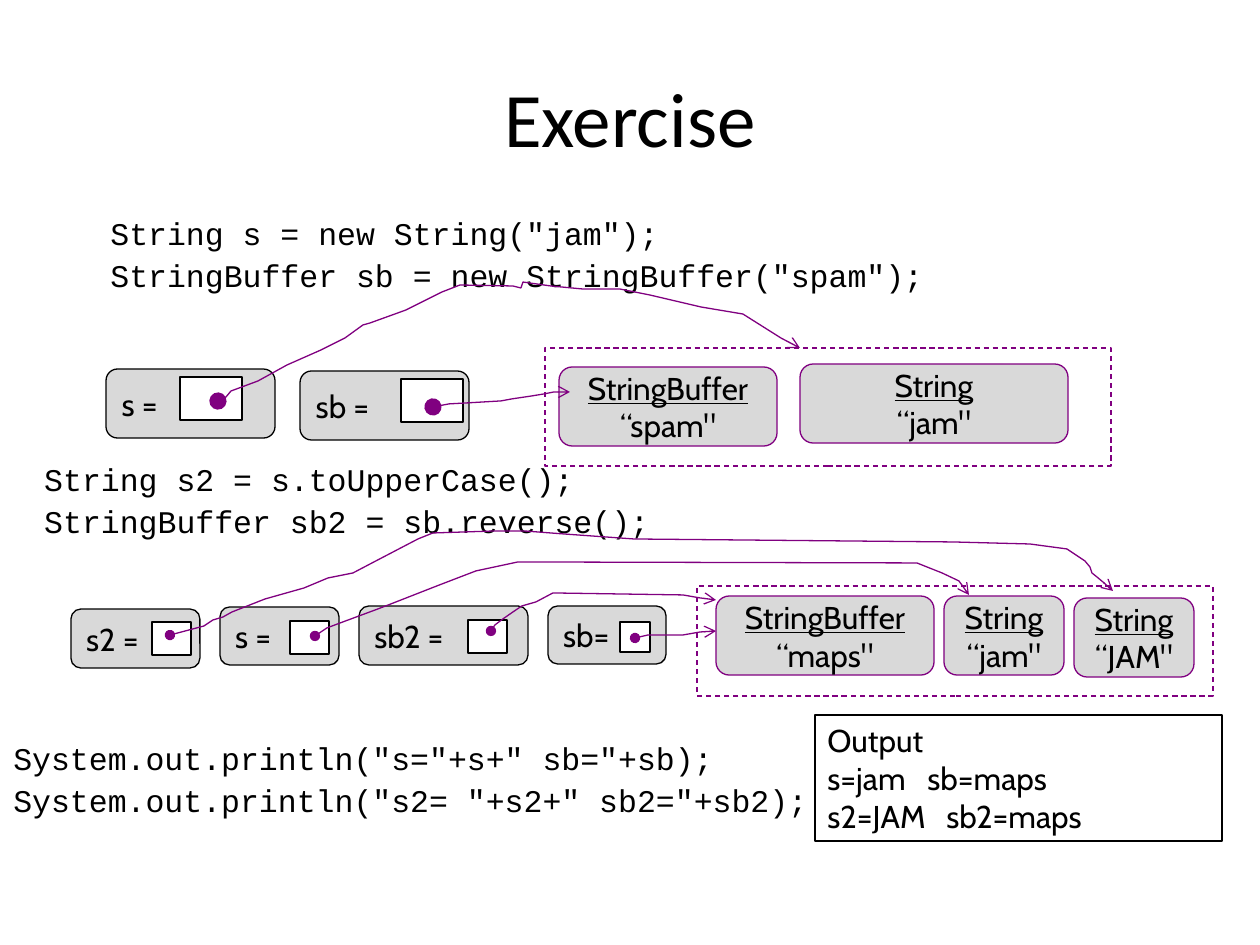
from pptx import Presentation
from pptx import util as u
from pptx.dml.color import RGBColor
from pptx.enum import dml, shapes, text
from lxml import etree

PX = 914400 / 126  # EMU in one px
NS = "{http://schemas.openxmlformats.org/drawingml/2006/main}"
THEME = {
    "ink": RGBColor(0, 0, 0), "paper": RGBColor(255, 255, 255),
    "box": RGBColor(0xD9, 0xD9, 0xD9), "accent": RGBColor(0x80, 0, 0x80),
    "title": ("Calibri", 44), "code": ("Courier New", 18), "label": ("Cabin", 18),
}


def add_box(kind, rect, fill, line):
    box = slide.shapes.add_shape(kind, *[u.Emu(round(v * PX)) for v in rect])
    box.shadow.inherit = False
    if fill:
        box.fill.solid()
        box.fill.fore_color.rgb = THEME[fill]
    else:
        box.fill.background()
    box.line.color.rgb = THEME[line]
    box.line.width = u.Pt(0.75)
    return box


def write(frame, content, role, align=text.PP_ALIGN.LEFT):
    frame.text = content
    name, size = THEME[role]
    for paragraph in frame.paragraphs:
        paragraph.alignment = align
        for run in paragraph.runs:
            run.font.name, run.font.size = name, u.Pt(size)
            run.font.color.rgb = THEME["ink"]


prs = Presentation()
prs.slide_width, prs.slide_height = round(1260 * PX), round(945 * PX)
slide = prs.slides.add_slide(prs.slide_layouts[5])
RECT = shapes.MSO_SHAPE.RECTANGLE
ROUND = shapes.MSO_SHAPE.ROUNDED_RECTANGLE

# Title
title = slide.shapes.title
title.left, title.top, title.width, title.height = [
    u.Emu(round(v * PX)) for v in (63, 38, 1134, 157)]
title.text_frame.vertical_anchor = text.MSO_ANCHOR.MIDDLE
write(title.text_frame, "Exercise", "title", text.PP_ALIGN.CENTER)

# Code passages
passages = [
    ((98, 212, 1071, 96),
     'String s = new String("jam");\nStringBuffer sb = new StringBuffer("spam");'),
    ((13, 458, 1071, 96),
     " String s2 = s.toUpperCase();\n StringBuffer sb2 = sb.reverse();"),
    ((-18, 737, 863, 96),
     ' System.out.println("s="+s+" sb="+sb);\n System.out.println("s2= "+s2+" sb2="+sb2);'),
]
for rect, code in passages:
    passage = slide.shapes.add_textbox(*[u.Emu(round(v * PX)) for v in rect])
    passage.text_frame.word_wrap = True
    write(passage.text_frame, code, "code")
    for row, paragraph in enumerate(passage.text_frame.paragraphs):
        paragraph.line_spacing = 0.9
        paragraph.space_before = u.Pt(4.5 if row else 0)

# Heap areas
for rect in [(545, 348, 566, 118), (697, 586, 516, 110)]:
    heap = add_box(RECT, rect, None, "accent")
    heap.line.dash_style = dml.MSO_LINE.DASH

# Variables, each with the cell that holds its reference
variables = [
    ("s =", (106, 369, 169, 69), (180, 377, 62, 43)),
    ("sb =", (300, 371, 169, 69), (401, 379, 62, 43)),
    ("s2 =", (71, 609, 129, 59), (152, 622, 39, 33)),
    ("s =", (220, 607, 119, 58), (290, 621, 39, 33)),
    ("sb2 =", (359, 606, 169, 59), (468, 620, 39, 33)),
    ("sb=", (548, 606, 118, 58), (620, 622, 30, 30)),
]
for label, rect, cell in variables:
    variable = add_box(ROUND, rect, "box", "ink")
    variable.text_frame.word_wrap = False
    write(variable.text_frame, label, "label")
    add_box(RECT, cell, "paper", "ink")

# Objects on the heap
objects = [
    ("StringBuffer", "“spam\"", (559, 367, 218, 79)),
    ("String", "“jam\"", (800, 364, 268, 79)),
    ("StringBuffer", "“maps\"", (716, 596, 218, 79)),
    ("String", "“jam\"", (944, 596, 120, 79)),
    ("String", "“JAM\"", (1074, 598, 120, 79)),
]
for class_name, value, rect in objects:
    instance = add_box(ROUND, rect, "box", "accent")
    instance.text_frame.word_wrap = False
    write(instance.text_frame, f"{class_name}\n{value}", "label", text.PP_ALIGN.CENTER)
    instance.text_frame.paragraphs[0].runs[0].font.underline = True

# References from variables to objects, with the size of the starting dot
references = [
    ("lg", [(433, 407), (449, 404), (467, 403), (501, 401), (512, 399), (532, 396),
            (544, 394), (554, 392), (570, 392)]),
    ("lg", [(218, 401), (226, 397), (231, 391), (258, 381), (287, 365), (321, 350),
            (345, 338), (363, 325), (370, 323), (406, 310), (442, 292), (460, 285),
            (513, 286), (521, 288), (523, 282), (551, 286), (583, 289), (620, 289),
            (650, 295), (701, 307), (743, 314), (781, 338), (800, 348)]),
    ("med", [(635, 638), (648, 635), (683, 635), (700, 632), (716, 631)]),
    ("med", [(491, 631), (495, 625), (503, 619), (513, 612), (522, 606), (536, 602),
             (553, 593), (683, 595), (700, 598), (716, 600)]),
    ("med", [(315, 636), (327, 628), (343, 622), (378, 609), (391, 604), (437, 586),
             (476, 571), (518, 562), (917, 563), (937, 571), (942, 573), (959, 581),
             (969, 595)]),
    ("med", [(170, 635), (204, 626), (213, 620), (223, 617), (232, 612), (265, 599),
             (304, 588), (328, 578), (353, 573), (372, 563), (418, 539), (433, 533),
             (494, 531), (525, 531), (564, 534), (634, 539), (953, 542), (1030, 544),
             (1067, 549), (1085, 561), (1090, 567), (1092, 573), (1097, 577),
             (1103, 582), (1113, 591)]),
]
for dot, points in references:
    builder = slide.shapes.build_freeform(*points[0], scale=PX)
    builder.add_line_segments(points[1:], close=False)
    reference = builder.convert_to_shape()
    reference.shadow.inherit = False
    reference.fill.background()
    reference.line.color.rgb = THEME["accent"]
    reference.line.width = u.Pt(0.75)
    stroke = reference.line._get_or_add_ln()
    etree.SubElement(stroke, NS + "round")
    for end, style, size in [("headEnd", "oval", dot), ("tailEnd", "arrow", "med")]:
        etree.SubElement(stroke, NS + end, type=style, w=size, len=size)

# Output, with a tab stop for the second value of each row
output = add_box(RECT, (815, 715, 407, 126), None, "ink")
output.text_frame.word_wrap = True
output.text_frame.vertical_anchor = text.MSO_ANCHOR.TOP
write(output.text_frame, "Output\ns=jam\tsb=maps\ns2=JAM\tsb2=maps", "label")
for paragraph, stop in zip(output.text_frame.paragraphs[1:], (100, 119)):
    tabs = etree.SubElement(paragraph._p.get_or_add_pPr(), NS + "tabLst")
    etree.SubElement(tabs, NS + "tab", pos=str(round(stop * PX)), algn="l")

prs.save("out.pptx")
